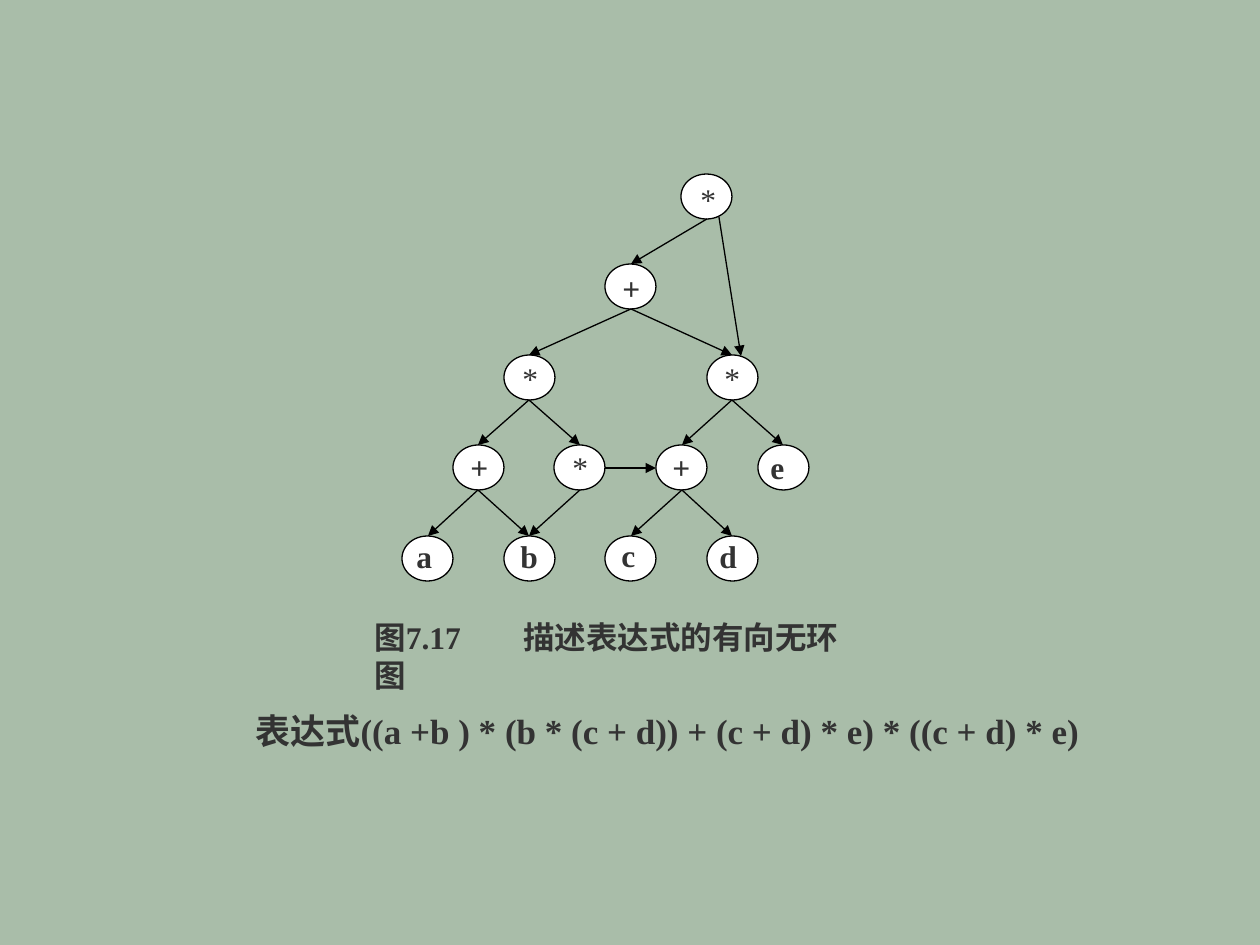
import pptx
import pptx.util
import pptx.dml.color
import pptx.enum.shapes
import pptx.oxml
import pptx.oxml.ns
import lxml.etree

PIXEL = 914400 // 126
COLORS = {"page": "A9BDA9", "node": "FFFFFF", "edge": "000000", "text": "333333"}
FONT = "Times New Roman"

# Graph grid: column and row pitch, node size, label size
COLUMN, ROW = 50.8, 90.4
NODE_WIDTH, NODE_HEIGHT = 51, 45
LABEL_WIDTH, LABEL_HEIGHT = 42, 50

# name: (column, row, label, label offset x, label offset y)
NODES = {
    "root": (5.5, 0, "*", 7, 0),
    "sum": (4, 1, "+", 5, -1),
    "left product": (2, 2, "*", 6, -2),
    "right product": (6, 2, "*", 5, -2),
    "a+b": (1, 3, "+", 5, -3),
    "b product": (3, 3, "*", 6, -3),
    "c+d": (5, 3, "+", 4, -3),
    "e": (7, 3, "e", 0, -3),
    "a": (0, 4, "a", 2, -5),
    "b": (2, 4, "b", 4, -5),
    "c": (4, 4, "c", 4, -6),
    "d": (6, 4, "d", 0, -5),
}
# Edges from the bottom of one node to the top of another
EDGES = [
    ("root", "sum"), ("sum", "left product"), ("sum", "right product"),
    ("left product", "a+b"), ("left product", "b product"),
    ("right product", "c+d"), ("right product", "e"),
    ("a+b", "a"), ("a+b", "b"), ("b product", "b"),
    ("c+d", "c"), ("c+d", "d"),
]


def px(*lengths):
    return [round(length) * PIXEL for length in lengths]


def color(name):
    return pptx.dml.color.RGBColor.from_string(COLORS[name])


def add_text(parent, text, box, size=18, bold=True, wrap=True):
    frame = parent.add_textbox(*px(*box)).text_frame
    frame.word_wrap = wrap
    para = frame.paragraphs[0]
    para.add_run().text = text
    para.font.name = FONT
    para.font.size = pptx.util.Pt(size)
    para.font.bold = bold
    para.font.color.rgb = color("text")
    return para


def add_arrow(parent, start, end):
    arrow = parent.add_connector(
        pptx.enum.shapes.MSO_CONNECTOR.STRAIGHT, *px(*start, *end))
    arrow.line.color.rgb = color("edge")
    arrow.line.width = pptx.util.Pt(0.75)
    properties = arrow._element.spPr
    tail = lxml.etree.SubElement(
        properties.find(pptx.oxml.ns.qn("a:ln")), pptx.oxml.ns.qn("a:tailEnd"))
    tail.set("type", "triangle")
    lxml.etree.SubElement(properties, pptx.oxml.ns.qn("a:effectLst"))


def add_node(parent, left, top):
    node = parent.add_shape(
        pptx.enum.shapes.MSO_SHAPE.OVAL,
        *px(left, top, NODE_WIDTH, NODE_HEIGHT))
    node.shadow.inherit = False
    node.fill.solid()
    node.fill.fore_color.rgb = color("node")
    node.line.color.rgb = color("edge")
    node.line.width = pptx.util.Pt(0.75)


def add_graph(page, left, top):
    graph = page.shapes.add_group_shape().shapes
    corners = {name: (left + column * COLUMN, top + row * ROW)
               for name, (column, row, *_) in NODES.items()}

    for corner in corners.values():
        add_node(graph, *corner)

    # Arrows down the levels
    for source, target in EDGES:
        x, y = corners[source]
        target_x, target_y = corners[target]
        add_arrow(graph, (x + NODE_WIDTH / 2, y + NODE_HEIGHT),
                  (target_x + NODE_WIDTH / 2, target_y))

    # Shared subexpressions: one sideways arrow, one long arrow
    x, y = corners["b product"]
    middle = y + NODE_HEIGHT / 2
    add_arrow(graph, (x + NODE_WIDTH, middle), (corners["c+d"][0], middle))
    x, y = corners["root"]
    target_x, target_y = corners["right product"]
    add_arrow(graph, (x + 38, y + 43), (target_x + 34, target_y + 1))

    # Labels
    for name, (_, _, label, shift_x, shift_y) in NODES.items():
        x, y = corners[name]
        add_text(graph, label,
                 (x + shift_x, y + shift_y, LABEL_WIDTH, LABEL_HEIGHT),
                 bold=label != "*", wrap=False)


def add_captions(page, left, top):
    # Figure caption, its name set off by a tab stop
    caption = add_text(page.shapes, "图7.17\t描述表达式的有向无环图",
                       (left + 119, top, 517, 50))
    tabs = lxml.etree.Element(pptx.oxml.ns.qn("a:tabLst"))
    lxml.etree.SubElement(tabs, pptx.oxml.ns.qn("a:tab"),
                          pos=str(149 * PIXEL), algn="l")
    caption._p.get_or_add_pPr().insert(0, tabs)

    # Expression
    expression = add_text(
        page.shapes,
        "表达式((a +b ) * (b * (c + d)) + (c + d) * e) * ((c + d) * e)",
        (left, top + 70, 963, 76), size=20)
    expression.line_spacing = 1.5


deck = pptx.Presentation()
deck.slide_width, deck.slide_height = px(1260, 945)
page = deck.slides.add_slide(deck.slide_layouts[6])
page.background.fill.solid()
page.background.fill.fore_color.rgb = color("page")
add_graph(page, 402, 174)
add_captions(page, 243, 612)
deck.save("out.pptx")
